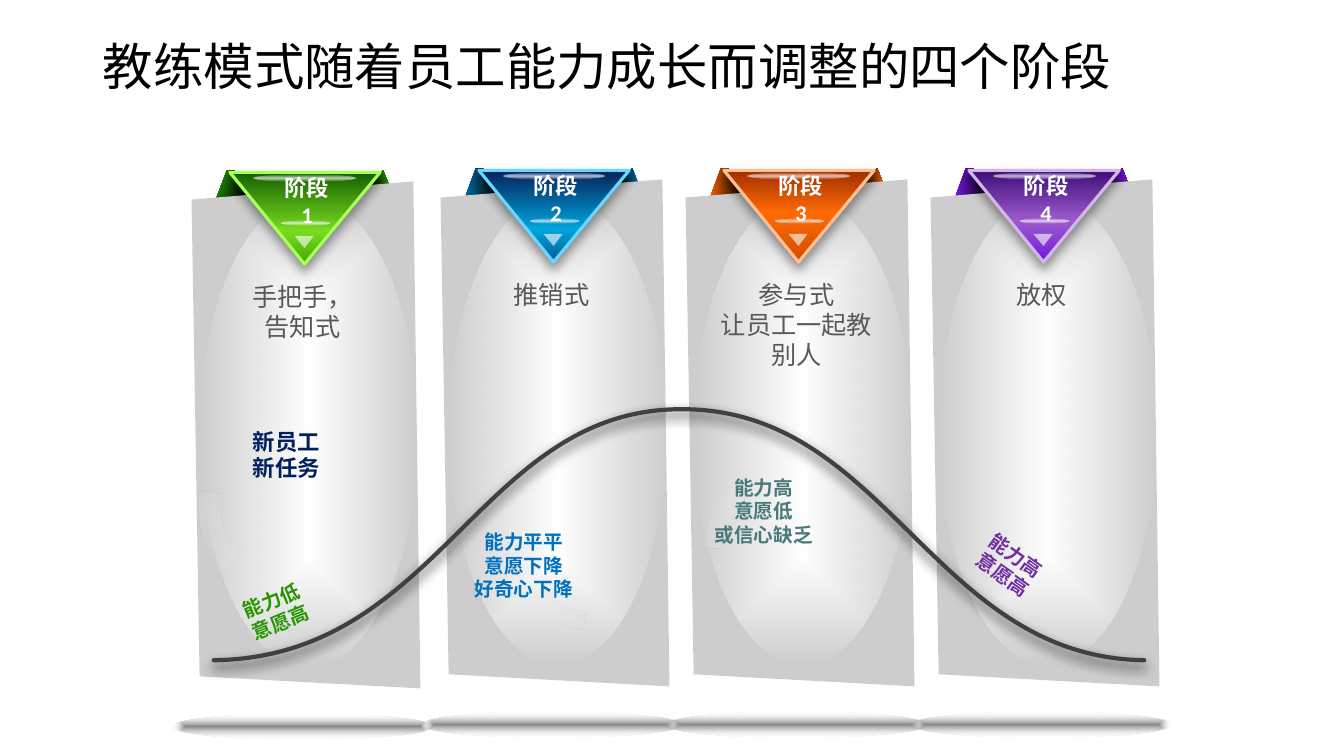
from dataclasses import dataclass
from typing import Optional

from pptx import Presentation
from pptx.dml.color import RGBColor
from pptx.enum.shapes import MSO_SHAPE
from pptx.enum.text import MSO_ANCHOR, PP_ALIGN
from pptx.oxml import parse_xml
from pptx.oxml.ns import nsdecls, qn
from pptx.util import Inches, Pt


@dataclass
class Gradient:
    stops: list  # (position %, colour, opacity %)
    angle: Optional[int] = None  # None: from the centre outwards


@dataclass
class Stage:
    x: float
    y: float
    label: str
    style: list  # caption paragraphs
    right_flap: Gradient
    left_flap: Gradient
    badge: Gradient
    edge: str


@dataclass
class Note:
    box: tuple
    lines: list
    color: str
    rotation: float = 0
    size: int = 14
    font: str = "Arial"
    wrap: bool = True


@dataclass
class Arrow:
    box: tuple
    rotation: float
    flip: bool = False


def rgb(value: str) -> RGBColor:
    return RGBColor.from_string(value)


def linear(angle: int, *stops: tuple) -> Gradient:
    return Gradient([(pos, color, 100) for pos, color in stops], angle)


def radial(color: str, opacity: int) -> Gradient:
    return Gradient([(0, color, opacity), (100, "FFFFFF", 0)])


def color_xml(color: str, opacity: int) -> str:
    return f'<a:srgbClr val="{color}"><a:alpha val="{opacity * 1000}"/></a:srgbClr>'


def paint(sp, fill) -> None:
    """Fill with a gradient, or with a (colour, opacity) pair."""
    sp.shadow.inherit = False
    sp.line.fill.background()
    sp.fill.solid()
    sp.fill.fore_color.rgb = rgb("FFFFFF")
    if isinstance(fill, Gradient):
        stops = "".join(f'<a:gs pos="{pos * 1000}">{color_xml(color, opacity)}</a:gs>'
                        for pos, color, opacity in fill.stops)
        if fill.angle is None:
            shade = ('<a:path path="shape"><a:fillToRect l="50000" t="50000" '
                     'r="50000" b="50000"/></a:path>')
        else:
            shade = f'<a:lin ang="{fill.angle * 60000}" scaled="0"/>'
        xml = (f'<a:gradFill {nsdecls("a")} rotWithShape="1">'
               f'<a:gsLst>{stops}</a:gsLst>{shade}</a:gradFill>')
    else:
        xml = f'<a:solidFill {nsdecls("a")}>{color_xml(*fill)}</a:solidFill>'
    spPr = sp._element.spPr
    spPr.replace(spPr.find(qn("a:solidFill")), parse_xml(xml))


def outline(sp, color: str, width: float) -> None:
    sp.line.color.rgb = rgb(color)
    sp.line.width = Pt(width)


def add_shadow(sp, opacity: int, blur: int, dist: int) -> None:
    effects = sp._element.spPr.find(qn("a:effectLst"))
    effects.append(parse_xml(
        f'<a:outerShdw {nsdecls("a")} blurRad="{Pt(blur)}" dist="{Pt(dist)}" '
        f'dir="5400000" algn="t" rotWithShape="0">{color_xml("000000", opacity)}</a:outerShdw>'))


def freeform(shapes, points: list, x: float = 0, y: float = 0,
             curves: tuple = (), close: bool = True):
    """Outline through points; each index in curves starts a three-point Bezier."""
    pts = [(Inches(x + dx), Inches(y + dy)) for dx, dy in points]
    builder = shapes.build_freeform(*pts[0])
    builder.add_line_segments(pts[1:], close=close)
    sp = builder.convert_to_shape()
    segments = list(sp._element.iter(qn("a:lnTo")))
    for start in curves:
        bezier = parse_xml(f'<a:cubicBezTo {nsdecls("a")}/>')
        segments[start].addprevious(bezier)
        for segment in segments[start:start + 3]:
            bezier.append(segment[0])
            segment.getparent().remove(segment)
    return sp


def preset(shapes, kind, box: tuple, fill: Gradient):
    sp = shapes.add_shape(kind, *map(Inches, box))
    paint(sp, fill)
    return sp


def add_text(shapes, box: tuple, lines: list, font: str, size: int, color: str,
             bold: bool = False, anchor=MSO_ANCHOR.MIDDLE, wrap: bool = True,
             side: float = 0.1):
    sp = shapes.add_textbox(*map(Inches, box))
    tf = sp.text_frame
    tf.word_wrap = wrap
    tf.vertical_anchor = anchor
    tf.margin_left = tf.margin_right = Inches(side)
    tf.margin_top = tf.margin_bottom = 0
    for i, line in enumerate(lines):
        p = tf.add_paragraph() if i else tf.paragraphs[0]
        p.alignment = PP_ALIGN.CENTER
        r = p.add_run()
        r.text = line
        r.font.name, r.font.size, r.font.bold = font, Pt(size), bold
        r.font.color.rgb = rgb(color)
    return sp


def draw_stage(shapes, st: Stage) -> None:
    x, y = st.x, st.y
    # Folded flaps and panel
    paint(freeform(shapes, [(1.9, -.11), (1.97, .06), (1.75, .07)], x, y), st.right_flap)
    left = [(.35, -.11), (.24, .18), (.58, .14), (.52, .08), (.48, -.04), (.42, -.11)]
    paint(freeform(shapes, left, x, y, curves=(2,)), st.left_flap)
    panel = [(0, .18), (.08, 4.91), (2.27, 5.03), (2.2, 0)]
    paint(freeform(shapes, panel, x, y), ("CDCDCD", 100))
    preset(shapes, MSO_SHAPE.OVAL, (x + .08, y + .16, 2.16, 4.65), radial("FFFFFF", 100))
    # Triangular badge
    badge = freeform(shapes, [(.38, -.09), (1.87, -.09), (1.12, .82)], x, y)
    paint(badge, st.badge)
    outline(badge, st.edge, 2.25)
    add_shadow(badge, 40, 8, 5)
    for dx, dy, w, h in [(.61, -.07, 1.03, .07), (.88, .39, .5, .05)]:
        preset(shapes, MSO_SHAPE.OVAL, (x + dx, y + dy, w, h), radial("FFFFFF", 70))
    add_text(shapes, (x + .76, y + .01, .77, .37), [st.label], "Calibri", 16, "FFFFFF",
             bold=True, side=.14)
    paint(freeform(shapes, [(1.02, .54), (1.21, .54), (1.12, .66)], x, y), ("FFFFFF", 60))
    # Floor shadow and caption
    preset(shapes, MSO_SHAPE.OVAL, (x - .19, y + 5.28, 2.58, .26), radial("808080", 94))
    add_text(shapes, (x + .21, y + .99, 1.78, 1.17), st.style, "Arial", 18, "595959",
             anchor=MSO_ANCHOR.TOP)


def draw_arrow(shapes, arrow: Arrow) -> None:
    fill = Gradient([(16, "FFFFFF", 0), (100, "808080", 100)], 40)
    sp = preset(shapes, MSO_SHAPE.CIRCULAR_ARROW, arrow.box, fill)
    # Angles are held in units of 0.6 per degree
    for i, value in enumerate([.097, 7 * .6, 202.5 * .6, 161.47 * .6, .087]):
        sp.adjustments[i] = value
    sp.rotation = arrow.rotation
    if arrow.flip:
        sp._element.spPr.find(qn("a:xfrm")).set("flipH", "1")


def draw_note(shapes, note: Note) -> None:
    sp = add_text(shapes, note.box, note.lines, note.font, note.size, note.color,
                  bold=True, wrap=note.wrap)
    sp.rotation = note.rotation


STAGES = [
    Stage(1.9, 1.8, "阶段1", ["手把手，", "告知式"],
          linear(170, (0, "25AC00"), (84, "000000")),
          linear(20, (0, "25AC00"), (84, "000000")),
          linear(90, (0, "156000"), (64, "79DB1F"), (100, "41A706")), "A7FF57"),
    Stage(4.37, 1.78, "阶段2", ["推销式"],
          linear(180, (0, "036AA3"), (100, "000000")),
          linear(0, (0, "036AA3"), (100, "000000")),
          linear(90, (0, "06225A"), (64, "00A4DE"), (100, "035992")), "68D7FF"),
    Stage(6.8, 1.78, "阶段3", ["参与式", "让员工一起教别人"],
          linear(0, (0, "000000"), (100, "EE6000")),
          linear(0, (0, "EE6000"), (100, "000000")),
          linear(90, (0, "A02E00"), (46, "FF6A05"), (100, "D04C03")), "FFBF93"),
    Stage(9.23, 1.78, "阶段4", ["放权"],
          linear(0, (0, "2A0952"), (100, "7219DD")),
          linear(0, (0, "7219DD"), (100, "000000")),
          linear(90, (0, "3D0D77"), (55, "9C5BCD"), (100, "7219DD")), "D3B5E9"),
]
ARROWS = [Arrow((6.9, 4.57, 1.86, 1.86), 23.5), Arrow((4.97, 4.46, 1.86, 1.86), 296.5),
          Arrow((1.88, 3.88, 2.27, 2.27), 168.9, flip=True)]
NOTES = [
    Note((4.46, 5.07, 1.47, 1.08), ["能力平平", "意愿下降", "好奇心下降"], "0070C0"),
    Note((1.92, 5.69, 1.63, .75), ["能力低", "意愿高"], "279600", 337.6),
    Note((9.2, 5.23, 1.63, .75), ["能力高", "意愿高"], "7030A0", 35.4),
    Note((6.84, 4.53, 1.47, 1.08), ["能力高", "意愿低", "或信心缺乏"], "487B78"),
    Note((2.4, 4.19, .88, .64), ["新员工", "新任务"], "002060", 0, 16, "Calibri", False),
]
CURVE = [(2.12, 6.55), (4.38, 6.52), (4.76, 4.04), (6.78, 4.06),
         (8.8, 4.07), (9.26, 6.52), (11.35, 6.55)]


def main() -> None:
    prs = Presentation()
    prs.slide_width, prs.slide_height = Inches(13.33), Inches(7.5)
    slide = prs.slides.add_slide(prs.slide_layouts[5])
    # Title
    title = slide.shapes.title
    title.left, title.top, title.width, title.height = map(Inches, (.92, .4, 11.5, .57))
    title.text_frame.vertical_anchor = MSO_ANCHOR.MIDDLE
    p = title.text_frame.paragraphs[0]
    p.alignment, p.line_spacing = PP_ALIGN.LEFT, .9
    r = p.add_run()
    r.text = "教练模式随着员工能力成长而调整的四个阶段"
    r.font.name, r.font.size, r.font.color.rgb = "Calibri", Pt(36), rgb("000000")
    # Stage panels
    for stage in STAGES:
        draw_stage(slide.shapes.add_group_shape().shapes, stage)
    # Growth curve, arrows and notes
    shapes = slide.shapes.add_group_shape().shapes
    curve = freeform(shapes, CURVE, curves=(0, 3), close=False)
    curve.shadow.inherit = False
    curve.fill.background()
    outline(curve, "404040", 3)
    curve.line._ln.set("cap", "rnd")
    add_shadow(curve, 80, 9, 4)
    for arrow in ARROWS:
        draw_arrow(shapes, arrow)
    for note in NOTES:
        draw_note(shapes, note)
    prs.save("out.pptx")


if __name__ == "__main__":
    main()
